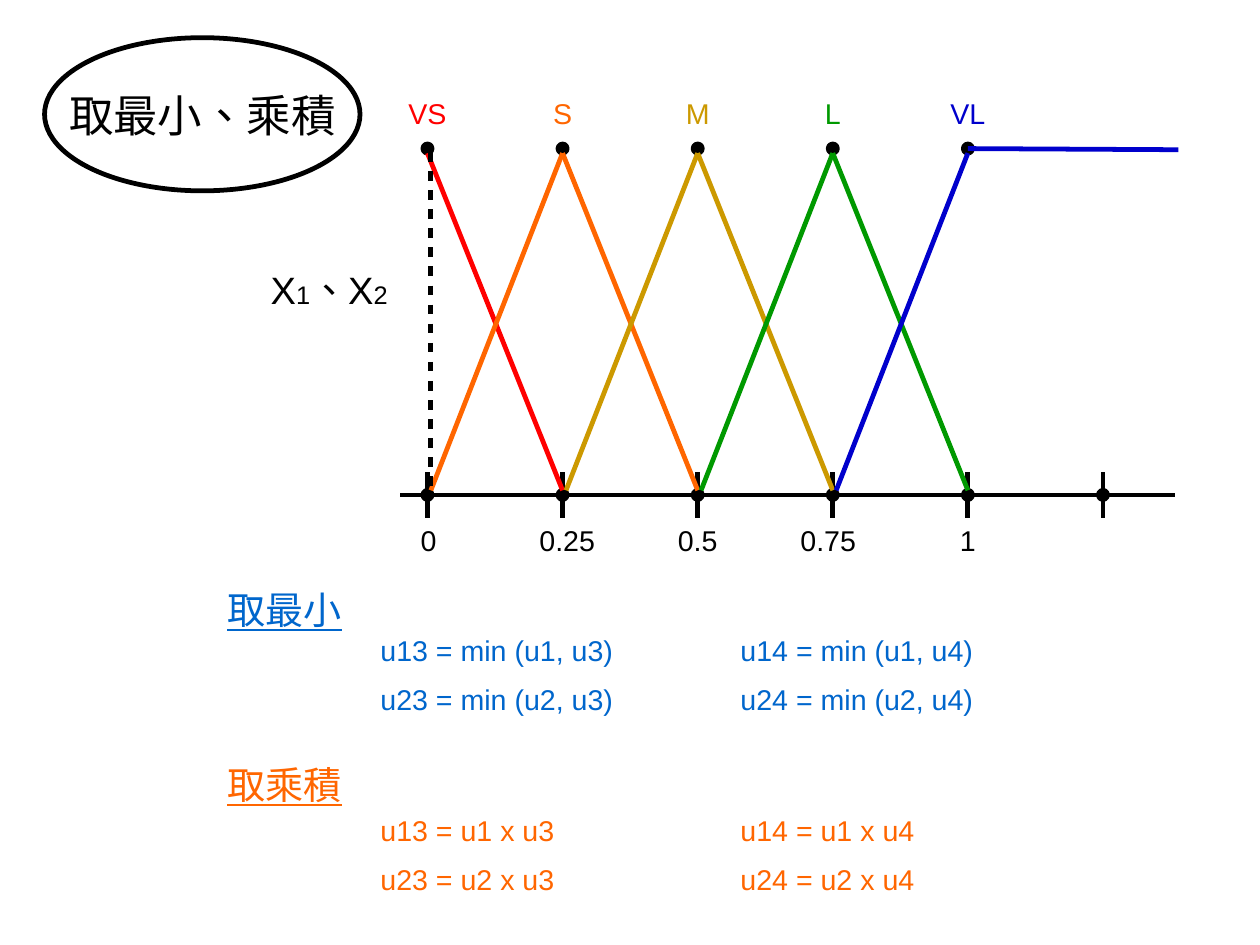
import pptx
import pptx.util
import pptx.dml.color
import pptx.enum.lang
import pptx.enum.shapes
import pptx.enum.text
import pptx.oxml.ns
import lxml.etree
from dataclasses import dataclass


@dataclass(frozen=True)
class Theme:
    font: str = "Arial"
    ink: str = "000000"
    red: str = "FF0000"
    orange: str = "FF6600"
    gold: str = "CC9900"
    green: str = "009900"
    navy: str = "0000CC"
    blue: str = "0066CC"
    title: int = 28
    head: int = 24
    body: int = 18
    sub: int = 16
    line: int = 3


LOOK = Theme()
TITLE = "取最小、乘積"
SETS = [("VS", LOOK.red), ("S", LOOK.orange), ("M", LOOK.gold),
        ("L", LOOK.green), ("VL", LOOK.navy)]
MARKS = [("0", 0.01), ("0.25", 0.04), ("0.5", 0), ("0.75", -0.04), ("1", 0)]
INPUTS = [("X", LOOK.head), ("1", LOOK.sub), ("、X", LOOK.head), ("2", LOOK.sub)]
RULES = [
    ("取最小", LOOK.blue, 5.08, 5.49,
     [["u13 = min (u1, u3)", "u14 = min (u1, u4)"],
      ["u23 = min (u2, u3)", "u24 = min (u2, u4)"]]),
    ("取乘積", LOOK.orange, 6.61, 7.06,
     [["u13 = u1 x u3", "u14 = u1 x u4"],
      ["u23 = u2 x u3", "u24 = u2 x u4"]]),
]

WIDE, HIGH = 28, 21
LEFT, STEP, TICKS = 3.74, 5.91 / 5, 6
PEAK, BASE = 1.3, 4.33
DOT, TICK, EDGE = 0.08, 0.2, 0.03
LABEL, ROW = 0.71, 0.38
COLS, GAP = (3.23, 6.38), 0.43
OVAL = (0.39, 0.33, 2.76, 1.34)

inch = pptx.util.Inches
tint = pptx.dml.color.RGBColor.from_string
ALIGN = pptx.enum.text.PP_ALIGN
FORM = pptx.enum.shapes.MSO_SHAPE
LANG = pptx.enum.lang.MSO_LANGUAGE_ID.TRADITIONAL_CHINESE

deck = pptx.Presentation()
deck.slide_width, deck.slide_height = pptx.util.Cm(WIDE), pptx.util.Cm(HIGH)
slide = deck.slides.add_slide(deck.slide_layouts[5])
shapes = slide.shapes


def style(run, size, color, under=None):
    run.font.name = LOOK.font
    run.font.size = pptx.util.Pt(size)
    run.font.color.rgb = tint(color)
    run.font.underline = under
    run.font.language_id = LANG


def write(box, parts, color, align=ALIGN.LEFT, under=None):
    shape = shapes.add_textbox(*map(inch, box))
    shape.text_frame.word_wrap = True
    para = shape.text_frame.paragraphs[0]
    para.alignment = align
    for text, size in parts:
        run = para.add_run()
        run.text = text
        style(run, size, color, under)


def label(text, mid, top, color):
    write((mid - LABEL / 2, top, LABEL, ROW), [(text, LOOK.body)], color, ALIGN.CENTER)


def stroke(line, color):
    line.color.rgb = tint(color)
    line.width = pptx.util.Pt(LOOK.line)


def oval(box, fill=None):
    shape = shapes.add_shape(FORM.OVAL, *map(inch, box))
    shape.shadow.inherit = False
    stroke(shape.line, LOOK.ink)
    if fill:
        shape.fill.solid()
        shape.fill.fore_color.rgb = tint(fill)
    else:
        shape.fill.background()


def dot(mid, level):
    oval((mid - DOT / 2, level - DOT / 2, DOT, DOT), LOOK.ink)


def link(start, end, color=LOOK.ink):
    line = shapes.add_connector(pptx.enum.shapes.MSO_CONNECTOR.STRAIGHT,
                                *map(inch, (*start, *end)))
    stroke(line.line, color)
    lxml.etree.SubElement(line._element.spPr, pptx.oxml.ns.qn("a:effectLst"))
    return line


def dash(line):
    qn = pptx.oxml.ns.qn
    ln = line._element.spPr.find(qn("a:ln"))
    pattern = lxml.etree.SubElement(ln, qn("a:custDash"))
    lxml.etree.SubElement(pattern, qn("a:ds"), d="200000", sp="200000")


def head():
    oval(OVAL)
    title = shapes.title
    title.left, title.top, title.width, title.height = map(inch, OVAL)
    frame = title.text_frame
    frame.text = TITLE
    frame.word_wrap = False
    frame.auto_size = pptx.enum.text.MSO_AUTO_SIZE.NONE
    frame.vertical_anchor = pptx.enum.text.MSO_ANCHOR.MIDDLE
    para = frame.paragraphs[0]
    para.alignment = ALIGN.CENTER
    style(para.runs[0], LOOK.title, LOOK.ink)


def graph():
    mids = [LEFT + STEP * i for i in range(TICKS)]
    link((3.5, BASE), (10.28, BASE))
    for mid in mids:
        link((mid, BASE - TICK), (mid, BASE + TICK))
        dot(mid, BASE)
    for mid, (text, shift) in zip(mids, MARKS):
        label(text, mid + shift, BASE + TICK, LOOK.ink)
    for mid, (text, color) in zip(mids, SETS):
        label(text, mid, 0.79, color)
        dot(mid, PEAK)
    top, foot = PEAK + DOT / 2, BASE - DOT / 2
    for mid, (text, color) in zip(mids, SETS[:-1]):
        link((mid, top), (mid + STEP, foot), color)
    link((mids[4], PEAK), (10.31, PEAK + 0.01), LOOK.navy)
    for mid, (text, color) in zip(mids[1:], SETS[1:]):
        link((mid, top), (mid - STEP + EDGE, foot), color)
    dash(link((LEFT + EDGE, PEAK + EDGE), (LEFT + EDGE, BASE - EDGE)))
    write((2.13, 2.28, 1.5, 0.58), INPUTS, LOOK.ink, ALIGN.CENTER)


def rules():
    for name, color, top, first, grid in RULES:
        write((1.89, top, 1.65, 0.58), [(name, LOOK.head)], color, under=True)
        for row, cells in enumerate(grid):
            for left, text in zip(COLS, cells):
                write((left, first + GAP * row, 2.9, ROW), [(text, LOOK.body)], color)


def main():
    head()
    graph()
    rules()
    deck.save("out.pptx")


if __name__ == "__main__":
    main()
